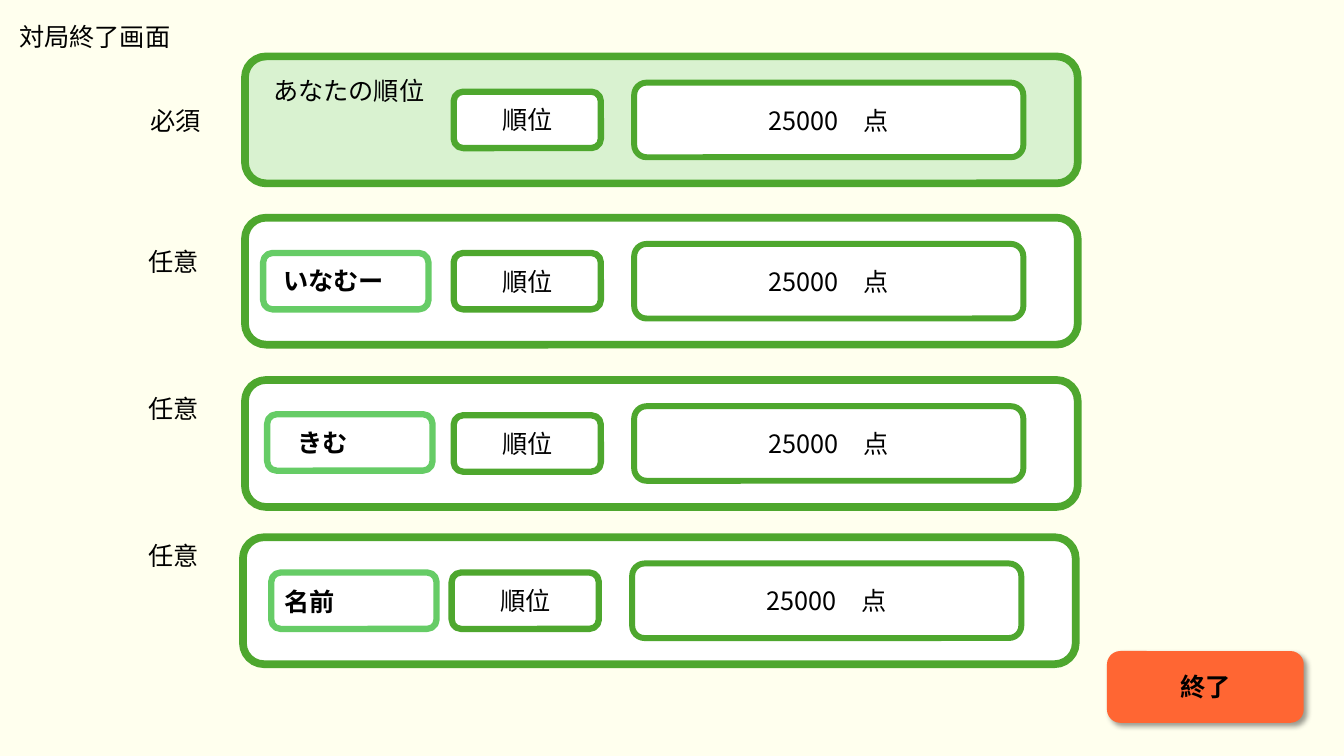
from lxml import etree
from pptx import Presentation
from pptx.dml.color import RGBColor
from pptx.enum.shapes import MSO_SHAPE
from pptx.enum.text import MSO_ANCHOR, MSO_AUTO_SIZE, PP_ALIGN
from pptx.oxml.ns import qn
from pptx.util import Inches, Pt

ROUNDED = MSO_SHAPE.ROUNDED_RECTANGLE
MIDDLE = MSO_ANCHOR.MIDDLE
CENTER = PP_ALIGN.CENTER
GROW = MSO_AUTO_SIZE.SHAPE_TO_FIT_TEXT

CREAM = RGBColor(0xFF, 0xFF, 0xEE)
WHITE = RGBColor(0xFF, 0xFF, 0xFF)
BLACK = RGBColor(0x00, 0x00, 0x00)
PALE_GREEN = RGBColor(0xD9, 0xF2, 0xD0)
GREEN = RGBColor(0x4E, 0xA7, 0x2E)
LIGHT_GREEN = RGBColor(0x66, 0xCC, 0x66)
ORANGE = RGBColor(0xFF, 0x66, 0x33)


class ResultScreen:
    font_name = "Noto Sans CJK JP"
    font_size = Pt(18)

    def __init__(self, slide):
        self.slide = slide
        background = slide.background.fill
        background.solid()
        background.fore_color.rgb = CREAM

    def add_text(self, frame, text, bold=False):
        run = frame.paragraphs[0].add_run()
        run.text = text
        run.font.name = self.font_name
        run.font.size = self.font_size
        run.font.bold = bold
        run.font.color.rgb = BLACK
        east_asian = etree.SubElement(run.font._element, qn("a:ea"))
        east_asian.set("typeface", self.font_name)

    def label(self, left, top, text, width, wrap=False, bold=False):
        box = self.slide.shapes.add_textbox(
            Inches(left), Inches(top), Inches(width), Inches(0.4))
        frame = box.text_frame
        frame.word_wrap = wrap
        frame.auto_size = GROW
        self.add_text(frame, text, bold)

    def panel(self, left, top, width, height, fill, line, line_width,
              text=None, bold=False):
        shape = self.slide.shapes.add_shape(
            ROUNDED, Inches(left), Inches(top), Inches(width), Inches(height))
        shape.shadow.inherit = False
        if fill is None:
            shape.fill.background()
        else:
            shape.fill.solid()
            shape.fill.fore_color.rgb = fill
        shape.line.color.rgb = line
        shape.line.width = Pt(line_width)
        if text:
            frame = shape.text_frame
            frame.vertical_anchor = MIDDLE
            frame.paragraphs[0].alignment = CENTER
            self.add_text(frame, text, bold)
        return shape

    def player_row(self, left, top, fill):
        """Draw a player's panel with its rank and score fields."""
        self.panel(left, top, 8.26, 1.26, fill, GREEN, 5.5)
        self.panel(left + 2.07, top + 0.35, 1.46, 0.56, WHITE, GREEN, 4.5, "順位")
        self.panel(left + 3.86, top + 0.26, 3.86, 0.74, WHITE, GREEN, 4.25,
                   "25000　点")

    def name_field(self, left, top, text_left, text_top, text_width, name):
        self.panel(left, top, 1.64, 0.56, None, LIGHT_GREEN, 4.5)
        self.label(text_left, text_top, name, text_width, wrap=True, bold=True)

    def button(self, left, top, text):
        shape = self.panel(left, top, 1.91, 0.67, ORANGE, ORANGE, 3, text, bold=True)
        effects = shape._element.spPr.find(qn("a:effectLst"))
        shadow = etree.SubElement(
            effects, qn("a:outerShdw"), blurRad=str(Pt(4)), dist=str(Pt(3)),
            dir=str(45 * 60000), algn="tl", rotWithShape="0")
        color = etree.SubElement(shadow, qn("a:srgbClr"), val=str(BLACK))
        etree.SubElement(color, qn("a:alpha"), val="40000")


def main():
    presentation = Presentation()
    presentation.slide_width = Inches(13.33)
    presentation.slide_height = Inches(7.5)
    screen = ResultScreen(
        presentation.slides.add_slide(presentation.slide_layouts[6]))

    player_rows = [
        (2.43, 0.56, PALE_GREEN),
        (2.43, 2.16, WHITE),
        (2.43, 3.77, WHITE),
        (2.41, 5.33, WHITE),
    ]
    for left, top, fill in player_rows:
        screen.player_row(left, top, fill)

    screen.label(0.09, 0.16, "対局終了画面", 1.72)
    screen.label(2.61, 0.7, "あなたの順位", 1.72)
    screen.label(1.39, 1, "必須", 0.71)
    for optional_row in range(3):
        screen.label(1.37, 2.39 + 1.46 * optional_row, "任意", 0.71)

    screen.name_field(2.61, 2.51, 2.71, 2.58, 1.52, "いなむー")
    screen.name_field(2.65, 4.11, 2.85, 4.19, 1.39, "きむ")
    screen.name_field(2.69, 5.68, 2.72, 5.77, 1.39, "名前")

    screen.button(11, 6.48, "終了")
    presentation.save("out.pptx")


if __name__ == "__main__":
    main()
